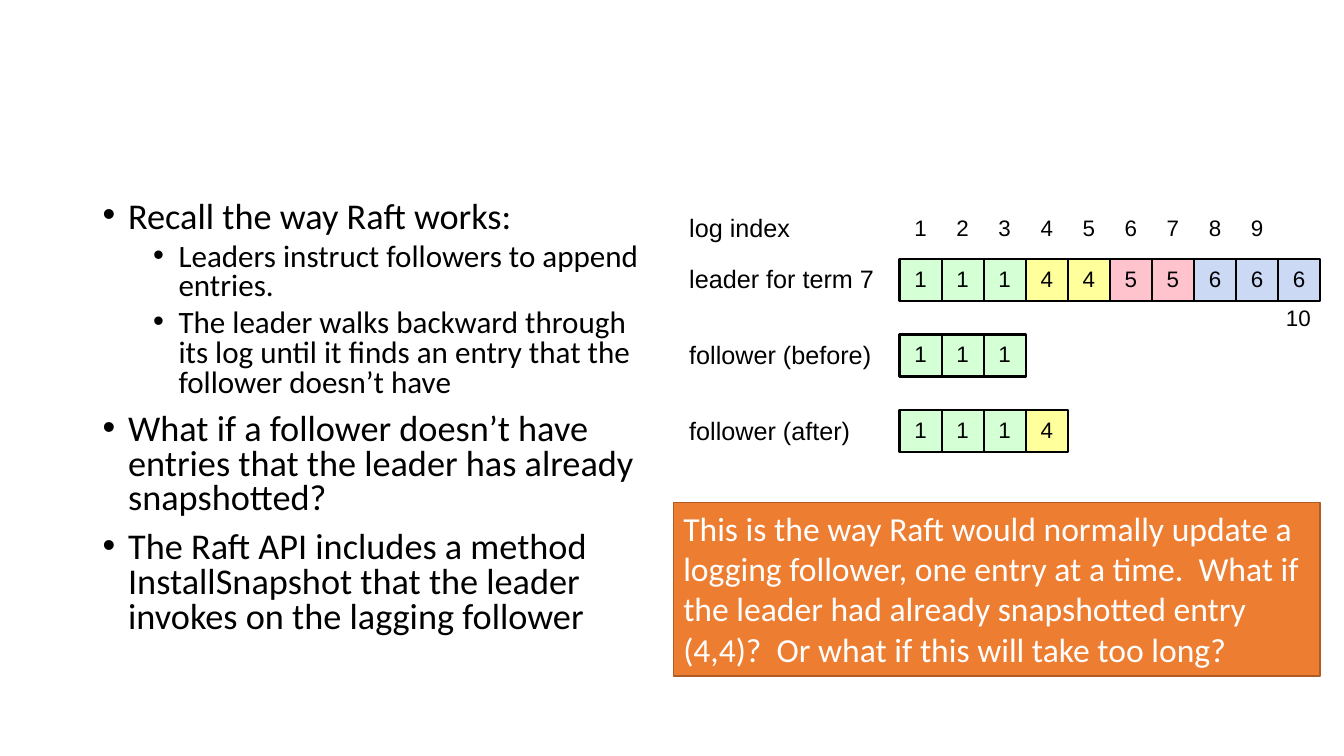
from dataclasses import dataclass

import pptx
import pptx.dml.color
import pptx.enum.shapes
import pptx.enum.text
import pptx.oxml.xmlchemy
import pptx.util
from pptx.util import Cm, Pt

ALIGN = pptx.enum.text.PP_ALIGN
ANCHOR = pptx.enum.text.MSO_ANCHOR


@dataclass(frozen=True)
class Theme:
    body_font: str = "Calibri"
    diagram_font: str = "Arial"
    black: str = "000000"
    white: str = "FFFFFF"
    callout_fill: str = "ED7D31"
    callout_line: str = "AF5C24"
    body_sizes: tuple = (25.9, 22.2)
    callout_size: float = 24
    label_size: float = 18
    cell_size: float = 16


THEME = Theme()
TERM_FILLS = {1: "D5FFD5", 4: "FFFF9B", 5: "FFC3CE", 6: "CCD9F4"}
CELL = 1.06
LOG_LEFT = 22.67
LOG_TOP = 6.52
ROW_STEP = 1.91
LABEL_LEFT = 17.37

BULLETS = [
    (0, "Recall the way Raft works:"),
    (1, "Leaders instruct followers to append entries."),
    (1, "The leader walks backward through its log until it finds an entry "
        "that the follower doesn’t have"),
    (0, "What if a follower doesn’t have entries that the leader has already "
        "snapshotted?"),
    (0, "The Raft API includes a method InstallSnapshot that the leader "
        "invokes on the lagging follower"),
]
LOGS = [
    ("leader for term 7", [1, 1, 1, 4, 4, 5, 5, 6, 6, 6]),
    ("follower (before)", [1, 1, 1]),
    ("follower (after)", [1, 1, 1, 4]),
]
CALLOUT = ("This is the way Raft would normally update a logging follower, one "
           "entry at a time.  What if the leader had already snapshotted entry "
           "(4,4)?  Or what if this will take too long?")


def rgb(value):
    return pptx.dml.color.RGBColor.from_string(value)


def set_text(p, text, font, size, color, align=ALIGN.LEFT):
    p.text = text
    p.alignment = align
    for r in p.runs:
        r.font.name = font
        r.font.size = Pt(size)
        r.font.color.rgb = rgb(color)


def clear_insets(tf):
    tf.margin_left = tf.margin_top = tf.margin_right = tf.margin_bottom = 0


def add_text_box(slide, left, top, width, height):
    sp = slide.shapes.add_textbox(Cm(left), Cm(top), Cm(width), Cm(height))
    tf = sp.text_frame
    tf.word_wrap = True
    return tf


def add_box(slide, left, top, width, height, fill, line, line_width):
    sp = slide.shapes.add_shape(pptx.enum.shapes.MSO_SHAPE.RECTANGLE,
                                Cm(left), Cm(top), Cm(width), Cm(height))
    sp.shadow.inherit = False
    sp.fill.solid()
    sp.fill.fore_color.rgb = rgb(fill)
    sp.line.color.rgb = rgb(line)
    sp.line.width = Pt(line_width)
    sp.text_frame.word_wrap = True
    return sp.text_frame


def add_bullet(p, level):
    pPr = p._p.get_or_add_pPr()
    pPr.set("marL", str(Cm(0.64 + 1.27 * level)))
    pPr.set("indent", str(-Cm(0.64)))
    for tag, attribute, value in (("buFont", "typeface", "Arial"),
                                  ("buChar", "char", "•")):
        element = pptx.oxml.xmlchemy.OxmlElement(f"a:{tag}")
        element.set(attribute, value)
        pPr.append(element)


def add_bullets(slide):
    tf = add_text_box(slide, 2.34, 4.95, 14.17, 12.09)
    for i, (level, text) in enumerate(BULLETS):
        p = tf.add_paragraph() if i else tf.paragraphs[0]
        p.level = level
        add_bullet(p, level)
        p.line_spacing = 0.8
        if i:
            p.space_before = Pt(5 if level else 10)
        set_text(p, text, THEME.body_font, THEME.body_sizes[level], THEME.black)


def add_label(slide, text, top):
    tf = add_text_box(slide, LABEL_LEFT, top, 5.08, 0.69)
    clear_insets(tf)
    p = tf.paragraphs[0]
    set_text(p, text, THEME.diagram_font, THEME.label_size, THEME.black)
    return p


def add_index(slide, index, left, top, width):
    tf = add_text_box(slide, left, top, width, 0.93)
    set_text(tf.paragraphs[0], str(index), THEME.diagram_font, THEME.cell_size,
             THEME.black, ALIGN.CENTER)


def add_log(slide, label, terms, top):
    add_label(slide, label, top + 0.21).line_spacing = Pt(19)
    for i, term in enumerate(terms):
        tf = add_box(slide, LOG_LEFT + i * CELL, top, CELL, CELL,
                     TERM_FILLS[term], THEME.black, 1.5)
        clear_insets(tf)
        tf.vertical_anchor = ANCHOR.MIDDLE
        p = tf.paragraphs[0]
        p.line_spacing = Pt(17)
        set_text(p, str(term), THEME.diagram_font, THEME.cell_size,
                 THEME.black, ALIGN.CENTER)


def add_callout(slide):
    tf = add_box(slide, 16.97, 12.67, 16.3, 4.37,
                 THEME.callout_fill, THEME.callout_line, 1)
    tf.vertical_anchor = ANCHOR.TOP
    set_text(tf.paragraphs[0], CALLOUT, THEME.body_font, THEME.callout_size,
             THEME.white)


def main():
    prs = pptx.Presentation()
    prs.slide_width = Cm(33.87)
    prs.slide_height = Cm(19.05)
    slide = prs.slides.add_slide(prs.slide_layouts[6])
    add_bullets(slide)
    add_label(slide, "log index", 5.36)
    for i in range(9):
        add_index(slide, i + 1, LOG_LEFT + i * CELL, 5.26, CELL)
    add_index(slide, 10, 31.99, 7.55, 1.46)
    for row, (label, terms) in enumerate(LOGS):
        add_log(slide, label, terms, LOG_TOP + row * ROW_STEP)
    add_callout(slide)
    prs.save("out.pptx")


if __name__ == "__main__":
    main()
